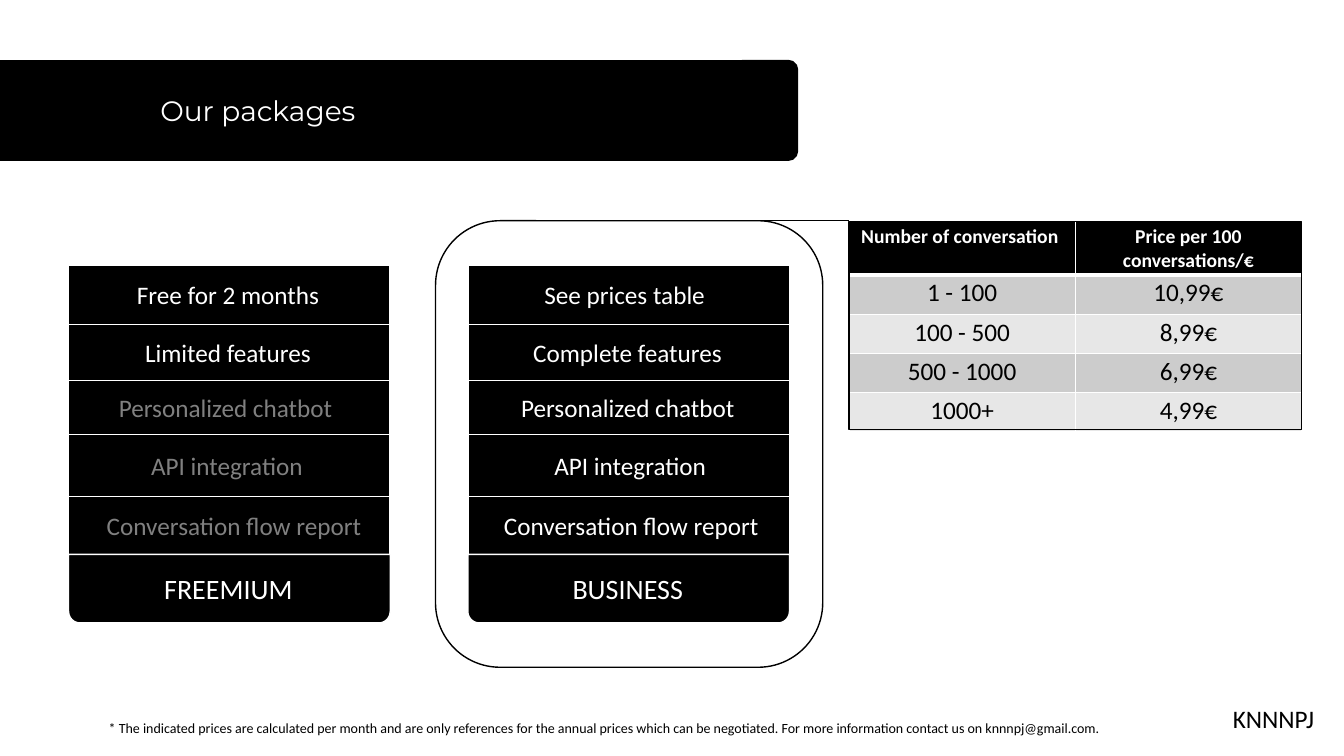
from pptx import Presentation
from pptx.dml.color import RGBColor
from pptx.enum.shapes import MSO_CONNECTOR, MSO_SHAPE
from pptx.enum.text import MSO_ANCHOR, PP_ALIGN
from pptx.oxml.ns import qn
from pptx.util import Inches, Pt
from lxml import etree

RECT, ROUND = MSO_SHAPE.RECTANGLE, MSO_SHAPE.ROUNDED_RECTANGLE
ROUND_TOP = MSO_SHAPE.ROUND_2_SAME_RECTANGLE
LEFT, CENTER, TOP = PP_ALIGN.LEFT, PP_ALIGN.CENTER, MSO_ANCHOR.TOP

# Content
TITLE = "Our packages"
BRAND = "KNNNPJ"
FOOTNOTE = ("* The indicated prices are calculated per month and are only references "
            "for the annual prices which can be negotiated. For more information "
            "contact us on knnnpj@gmail.com.")
# Each package: name, panel left, name left, features as (text, left, included)
PACKAGES = [
    ("FREEMIUM", 0.68, 1.53, [
        ("Free for 2 months", 1.26, True),
        ("Limited features", 1.34, True),
        ("Personalized chatbot", 1.08, False),
        ("API integration", 1.4, False),
        ("Conversation flow report", 0.96, False)]),
    ("BUSINESS", 4.64, 5.58, [
        ("See prices table", 5.3, True),
        ("Complete features", 5.19, True),
        ("Personalized chatbot", 5.07, True),
        ("API integration", 5.4, True),
        ("Conversation flow report", 4.9, True)]),
]
PRICES = [
    ("Number of conversation ", "Price per 100 conversations/€"),
    ("1 - 100", "10,99€"),
    ("100 - 500", "8,99€"),
    ("500 - 1000", "6,99€"),
    ("1000+", "4,99€"),
]


class Theme:
    black, white = "000000", "FFFFFF"
    muted, band_dark, band_light = "808080", "CCCCCC", "E7E7E7"
    body, heading = "Calibri", "Montserrat"
    large, normal, header, small = 20, 18, 14, 10


# Layout
ROW_EDGES = [2.63, 3.22, 3.77, 4.31, 4.92, 5.5]
PANEL_W, NAME_H, LINE_H = 3.19, 0.68, 0.4
TABLE_BOX = (8.42, 2.2, 4.49, 2.06)
HEADER_H, ROW_H = 0.51, 0.39

prs = Presentation()
prs.slide_width, prs.slide_height = Inches(13.33), Inches(7.5)
s = prs.slides.add_slide(prs.slide_layouts[5])


def inches(*values):
    return [Inches(v) for v in values]


def rgb(color):
    return RGBColor.from_string(color)


def write(tf, text, size=Theme.normal, color=Theme.black, font=Theme.body,
          bold=False, align=LEFT):
    tf.word_wrap = True
    tf.vertical_anchor = TOP
    p = tf.paragraphs[0]
    p.alignment = align
    r = p.add_run()
    r.text = text
    r.font.name, r.font.size, r.font.bold = font, Pt(size), bold
    r.font.color.rgb = rgb(color)


def add_text(text, left, top, width, height=LINE_H, **fmt):
    box = s.shapes.add_textbox(*inches(left, top, width, height))
    write(box.text_frame, text, **fmt)


def add_block(kind, left, top, width, height, fill=Theme.black,
              line=Theme.black, rotation=0):
    sp = s.shapes.add_shape(kind, *inches(left, top, width, height))
    sp.shadow.inherit = False
    sp.rotation = rotation
    if fill:
        sp.fill.solid()
        sp.fill.fore_color.rgb = rgb(fill)
    else:
        sp.fill.background()
    sp.line.color.rgb = rgb(line)
    sp.line.width = Pt(1)


def add_rule(left, right, y, color, weight):
    rule = s.shapes.add_connector(MSO_CONNECTOR.STRAIGHT, *inches(left, y, right, y))
    rule.line.color.rgb = rgb(color)
    rule.line.width = Pt(weight)
    etree.SubElement(rule._element.spPr, qn("a:effectLst"))


def set_borders(cell, bottom):
    tc_pr = cell._tc.get_or_add_tcPr()
    weights = {"a:lnL": 1, "a:lnR": 1, "a:lnT": 1, "a:lnB": bottom}
    for i, (tag, weight) in enumerate(weights.items()):
        ln = etree.Element(qn(tag), w=str(Pt(weight)))
        fill = etree.SubElement(ln, qn("a:solidFill"))
        etree.SubElement(fill, qn("a:srgbClr"), val=Theme.white)
        tc_pr.insert(i, ln)


# Frame that highlights the business package
add_block(ROUND, 4.32, 2.19, 3.84, 4.43, fill=Theme.white)

# Title banner
add_block(RECT, 0, 0.6, 7.37, 0.99)
add_block(ROUND_TOP, 7.14, 0.82, 0.99, 0.55, rotation=90)
title = s.shapes.title
title.left, title.top, title.width, title.height = inches(1.49, 0.88, 5.5, 0.44)
write(title.text_frame, TITLE, size=Theme.large, color=Theme.white, font=Theme.heading)
s.shapes._spTree.append(title._element)  # bring the title in front of its banner

# Package panels
for name, left, name_left, features in PACKAGES:
    right, top, bottom = left + PANEL_W, ROW_EDGES[0], ROW_EDGES[-1]
    add_block(RECT, left, top, PANEL_W, bottom - top, line=Theme.white)
    add_block(ROUND_TOP, left, bottom, PANEL_W, NAME_H, line=Theme.white, rotation=180)
    add_text(name, name_left, bottom + 0.12, right - name_left, 0.44,
             size=Theme.large, color=Theme.white)
    for y in ROW_EDGES[1:-1]:
        add_rule(left, right, y, Theme.white, 0.5)
    for (text, x, included), y0, y1 in zip(features, ROW_EDGES, ROW_EDGES[1:]):
        add_text(text, x, (y0 + y1 - LINE_H) / 2, right - x,
                 color=Theme.white if included else Theme.muted)

# Price table
table = s.shapes.add_table(len(PRICES), 2, *inches(*TABLE_BOX)).table
for col in table.columns:
    col.width = Inches(TABLE_BOX[2] / 2)
for i, row in enumerate(PRICES):
    is_header = i == 0
    table.rows[i].height = Inches(HEADER_H if is_header else ROW_H)
    band = Theme.band_dark if i % 2 else Theme.band_light
    for j, text in enumerate(row):
        cell = table.cell(i, j)
        cell.margin_left = cell.margin_right = Inches(0.05)
        cell.margin_top = cell.margin_bottom = Inches(0.03)
        cell.fill.solid()
        cell.fill.fore_color.rgb = rgb(Theme.black if is_header else band)
        set_borders(cell, bottom=3 if is_header else 1)
        write(cell.text_frame, text, align=CENTER, bold=is_header,
              size=Theme.header if is_header else Theme.normal,
              color=Theme.white if is_header else Theme.black)

# Table outline and its link to the business frame
add_block(RECT, *TABLE_BOX, fill=None)
add_rule(7.54, TABLE_BOX[0], 2.19, Theme.black, 1)

# Footer
add_text(FOOTNOTE, 0.98, 7.09, 10.22, 0.27, size=Theme.small)
add_text(BRAND, 12.13, 6.93, 1.1)

prs.save("out.pptx")
